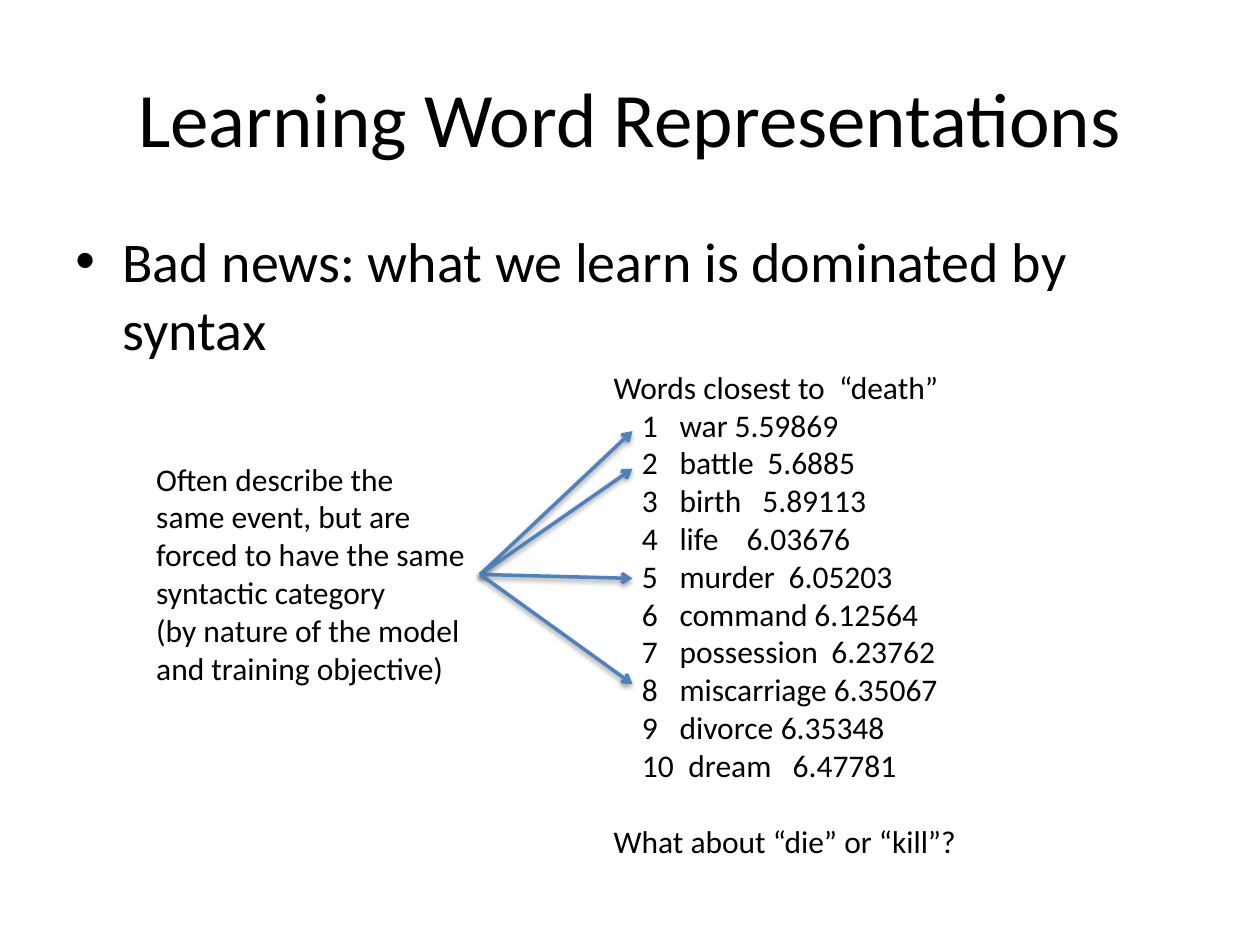
from typing import NamedTuple

from lxml import etree
from pptx import Presentation, util as u
from pptx.dml.color import RGBColor
from pptx.enum import shapes, text
from pptx.oxml import parse_xml
from pptx.oxml.ns import nsdecls, qn

FONT = "Calibri"
BLACK = "000000"
BLUE = "4F81BD"
RANK_STOP = 0.57


class Box(NamedTuple):
    left: float
    top: float
    width: float
    height: float


class Neighbour(NamedTuple):
    word: str
    distance: str
    distance_stop: float
    word_stop: float = 1.33


TITLE = Box(1.27, 0.76, 22.86, 3.18)
BODY = Box(1.27, 4.45, 22.86, 12.57)
WORDS = Box(12.12, 7.29, 10.26, 10.26)
NOTE = Box(2.9, 9.14, 6.78, 4.88)

NEIGHBOURS = [
    Neighbour("war", "5.59869", 2.44),
    Neighbour("battle", "5.6885", 3.1),
    Neighbour("birth", "5.89113", 3.0),
    Neighbour("life", "6.03676", 2.68),
    Neighbour("murder", "6.05203", 3.53),
    Neighbour("command", "6.12564", 4.05),
    Neighbour("possession", "6.23762", 4.39),
    Neighbour("miscarriage", "6.35067", 4.44),
    Neighbour("divorce", "6.35348", 3.37),
    Neighbour("dream", "6.47781", 3.61, word_stop=1.51),
]

ARROW_START = (9.68, 11.58)
ARROW_END_LEFT = 12.75
ARROW_END_TOPS = [8.69, 9.45, 11.66, 13.79]


def color(value: str) -> RGBColor:
    return RGBColor.from_string(value)


def add_frame(slide, box: Box, anchor=text.MSO_ANCHOR.TOP):
    """Add a wrapping text box and return its text frame."""
    shape = slide.shapes.add_textbox(*(u.Cm(length) for length in box))
    frame = shape.text_frame
    frame.word_wrap = True
    frame.vertical_anchor = anchor
    return frame


def write(frame, content: str, *, size: float = 18, align=None,
          before: float = 0, bullet: str = "", indent: float = 0,
          stops: tuple[float, ...] = ()) -> None:
    """Write one paragraph, using the frame's first one while it is empty."""
    paragraph = frame.paragraphs[0] if not frame.text else frame.add_paragraph()
    paragraph.text = content
    paragraph.alignment = align
    paragraph.space_before = u.Pt(before)
    for run in paragraph.runs:
        run.font.name = FONT
        run.font.size = u.Pt(size)
        run.font.color.rgb = color(BLACK)
    properties = paragraph._p.get_or_add_pPr()
    if bullet:
        properties.set("marL", str(u.Cm(indent)))
        properties.set("indent", str(-u.Cm(indent)))
        etree.SubElement(properties, qn("a:buFont"), typeface="Arial")
        etree.SubElement(properties, qn("a:buChar"), char=bullet)
    if stops:
        tabs = etree.SubElement(properties, qn("a:tabLst"))
        for stop in stops:
            etree.SubElement(tabs, qn("a:tab"), pos=str(u.Cm(stop)), algn="l")


def add_arrow(slide, start: tuple[float, float], end: tuple[float, float]) -> None:
    """Draw a line with an arrowhead at its end and a soft shadow below."""
    arrow = slide.shapes.add_connector(
        shapes.MSO_CONNECTOR.STRAIGHT,
        *(u.Cm(length) for length in (*start, *end)))
    arrow.line.color.rgb = color(BLUE)
    arrow.line.width = u.Pt(2)
    etree.SubElement(arrow.line._get_or_add_ln(), qn("a:tailEnd"), type="arrow")
    arrow._element.spPr.append(parse_xml(
        f'<a:effectLst {nsdecls("a")}>'
        '<a:outerShdw blurRad="40000" dist="20000" dir="5400000" rotWithShape="0">'
        f'<a:srgbClr val="{BLACK}"><a:alpha val="38000"/></a:srgbClr>'
        '</a:outerShdw></a:effectLst>'))


def add_word_list(slide) -> None:
    frame = add_frame(slide, WORDS)
    write(frame, "Words closest to  “death”")
    for rank, item in enumerate(NEIGHBOURS, start=1):
        write(frame, f"\t{rank}\t{item.word}\t{item.distance}",
              stops=(RANK_STOP, item.word_stop, item.distance_stop))
    write(frame, "What about “die” or “kill”?", before=22)


def main() -> None:
    presentation = Presentation()
    presentation.slide_width = u.Cm(25.4)
    presentation.slide_height = u.Cm(19.05)
    slide = presentation.slides.add_slide(presentation.slide_layouts[6])

    write(add_frame(slide, TITLE, text.MSO_ANCHOR.MIDDLE),
          "Learning Word Representations", size=44, align=text.PP_ALIGN.CENTER)
    write(add_frame(slide, BODY), "Bad news: what we learn is dominated by syntax",
          size=32, before=6.4, bullet="•", indent=0.95)
    add_word_list(slide)
    write(add_frame(slide, NOTE),
          "Often describe the same event, but are forced to have the same "
          "syntactic category\v(by nature of the model and training objective)")
    for top in ARROW_END_TOPS:
        add_arrow(slide, ARROW_START, (ARROW_END_LEFT, top))

    presentation.save("out.pptx")


if __name__ == "__main__":
    main()
